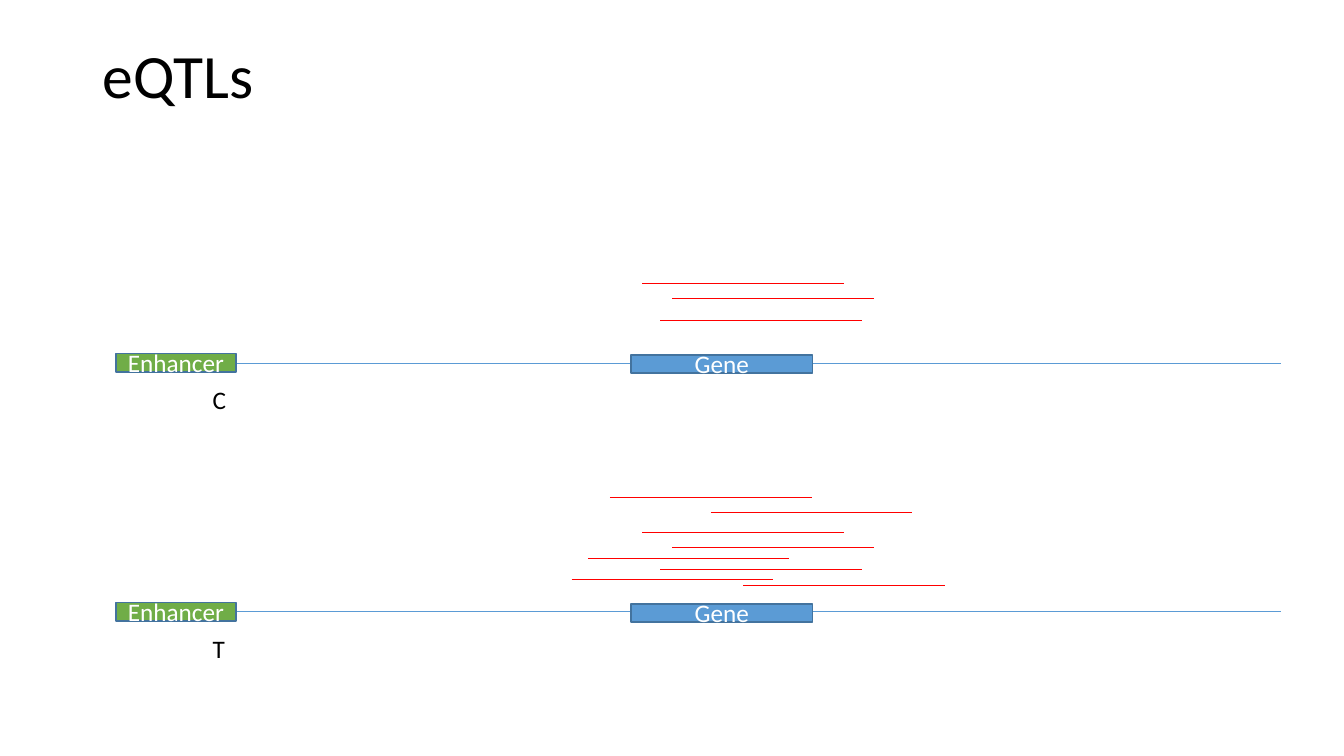
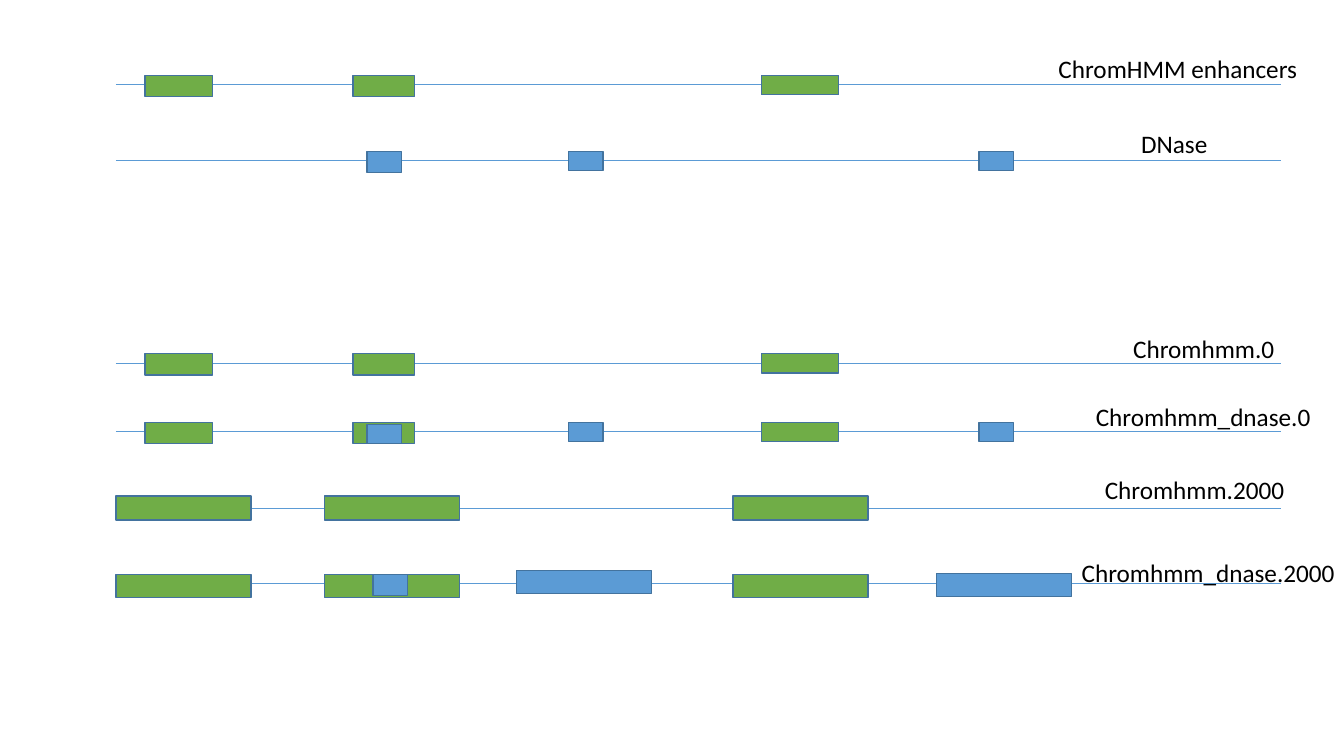
from lxml import etree
from pptx import Presentation, util as u
from pptx.dml.color import RGBColor
from pptx.enum import shapes, text
from pptx.oxml.ns import qn

PX = u.Inches(1) // 100

BLUE = RGBColor(0x5B, 0x9B, 0xD5)
GREEN = RGBColor(0x70, 0xAD, 0x47)
OUTLINE = RGBColor(0x43, 0x73, 0x9E)
RED = RGBColor(0xFF, 0x00, 0x00)
BLACK = RGBColor(0x00, 0x00, 0x00)
WHITE = RGBColor(0xFF, 0xFF, 0xFF)

BODY = {"name": "Calibri", "size": u.Pt(18)}
TITLE = {"name": "Calibri", "size": u.Pt(44)}

TRACK_LEFT, TRACK_RIGHT = 115, 1271
LABEL_HEIGHT = 40
READ_LENGTH = 200

# Reads: left edge and height above the track
COMMON_READS = [(655, 42), (667, 64), (637, 79)]
EXTRA_READS = [(737, 26), (705, 99), (605, 114), (567, 32), (583, 53)]

# Regions: left, rise above the track, width, height, colour
ENHANCERS = [(144, 9, 67, 21, GREEN), (350, 9, 61, 21, GREEN), (755, 9, 77, 19, GREEN)]
SHARED_DNASE = (364, 9, 34, 21, BLUE)
LONE_DNASE = [(564, 9, 34, 19, BLUE), (971, 9, 34, 19, BLUE)]
WIDE_LEFTS = (115, 322, 727)

# Tracks: y, label, label left, label top, label width, regions
TRACKS = [
    (84, "ChromHMM enhancers", 1040, 48, 260, ENHANCERS),
    (159, "DNase", 1122, 122, 87, [SHARED_DNASE, *LONE_DNASE]),
    (360, "Chromhmm.0", 1114, 326, 162, ENHANCERS),
    (428, "Chromhmm_dnase.0", 1077, 393, 235,
     [*ENHANCERS, (364, 7, 34, 19, BLUE), *LONE_DNASE]),
    (504, "Chromhmm.2000", 1086, 466, 200,
     [(left, 12, 134, 24, GREEN) for left in WIDE_LEFTS]),
    (579, "Chromhmm_dnase.2000", 1063, 548, 274,
     [*((left, 9, 134, 23, GREEN) for left in WIDE_LEFTS),
      (512, 13, 134, 23, BLUE), (370, 9, 34, 21, BLUE), (929, 10, 134, 23, BLUE)]),
]


def px(*lengths):
    return [length * PX for length in lengths]


def write(frame, words, style, colour, **para_format):
    para = frame.paragraphs[0]
    for name, value in para_format.items():
        setattr(para, name, value)
    span = para.add_run()
    span.text = words
    for name, value in style.items():
        setattr(span.font, name, value)
    span.font.color.rgb = colour


def add_label(page, words, left, top, width):
    box = page.shapes.add_textbox(*px(left, top, width, LABEL_HEIGHT))
    box.text_frame.word_wrap = False
    box.text_frame.auto_size = text.MSO_AUTO_SIZE.SHAPE_TO_FIT_TEXT
    write(box.text_frame, words, BODY, BLACK)


def add_title(page, words):
    box = page.shapes.add_textbox(*px(92, 40, 1150, 145))
    box.text_frame.word_wrap = True
    write(box.text_frame, words, TITLE, BLACK, line_spacing=0.9)


def add_line(page, left, right, y, colour):
    line = page.shapes.add_connector(
        shapes.MSO_CONNECTOR.STRAIGHT, *px(left, y, right, y))
    line.line.color.rgb = colour
    line.line.width = u.Pt(0.5)
    etree.SubElement(line._element.spPr, qn("a:effectLst"))
    return line


def add_track(page, y):
    return add_line(page, TRACK_LEFT, TRACK_RIGHT, y, BLUE)


def add_region(page, left, top, width, height, colour, words=None):
    box = page.shapes.add_shape(
        shapes.MSO_SHAPE.RECTANGLE, *px(left, top, width, height))
    box.shadow.inherit = False
    box.fill.solid()
    box.fill.fore_color.rgb = colour
    box.line.color.rgb = OUTLINE
    box.line.width = u.Pt(1)
    if words:
        box.text_frame.vertical_anchor = text.MSO_ANCHOR.MIDDLE
        write(box.text_frame, words, BODY, WHITE, alignment=text.PP_ALIGN.CENTER)
    return box


def add_allele(page, y, allele, reads):
    """Draw an enhancer and gene on one track, with the gene's reads above."""
    track = add_track(page, y)
    add_region(page, 626, y - 8, 180, 18, BLUE, "Gene")
    enhancer = add_region(page, TRACK_LEFT, y - 9, 119, 18, GREEN, "Enhancer")
    track.begin_connect(enhancer, 1)
    for left, rise in reads:
        add_line(page, left, left + READ_LENGTH, y - rise, RED)
    add_label(page, allele, 201, y + 16, 34)


def build_eqtls(page):
    add_title(page, "eQTLs")
    add_allele(page, 360, "C", COMMON_READS)
    add_allele(page, 607, "T", COMMON_READS + EXTRA_READS)


def build_annotations(page):
    for y, words, left, top, width, regions in TRACKS:
        track = add_track(page, y)
        for region_left, rise, region_width, height, colour in regions:
            box = add_region(page, region_left, y - rise, region_width, height, colour)
            if region_left == TRACK_LEFT and rise * 2 == height:
                track.begin_connect(box, 1)
        add_label(page, words, left, top, width)


def main():
    deck = Presentation()
    deck.slide_width, deck.slide_height = px(1333, 750)
    blank = deck.slide_layouts[6]
    for build in (build_eqtls, build_annotations):
        build(deck.slides.add_slide(blank))
    deck.save("out.pptx")


if __name__ == "__main__":
    main()
